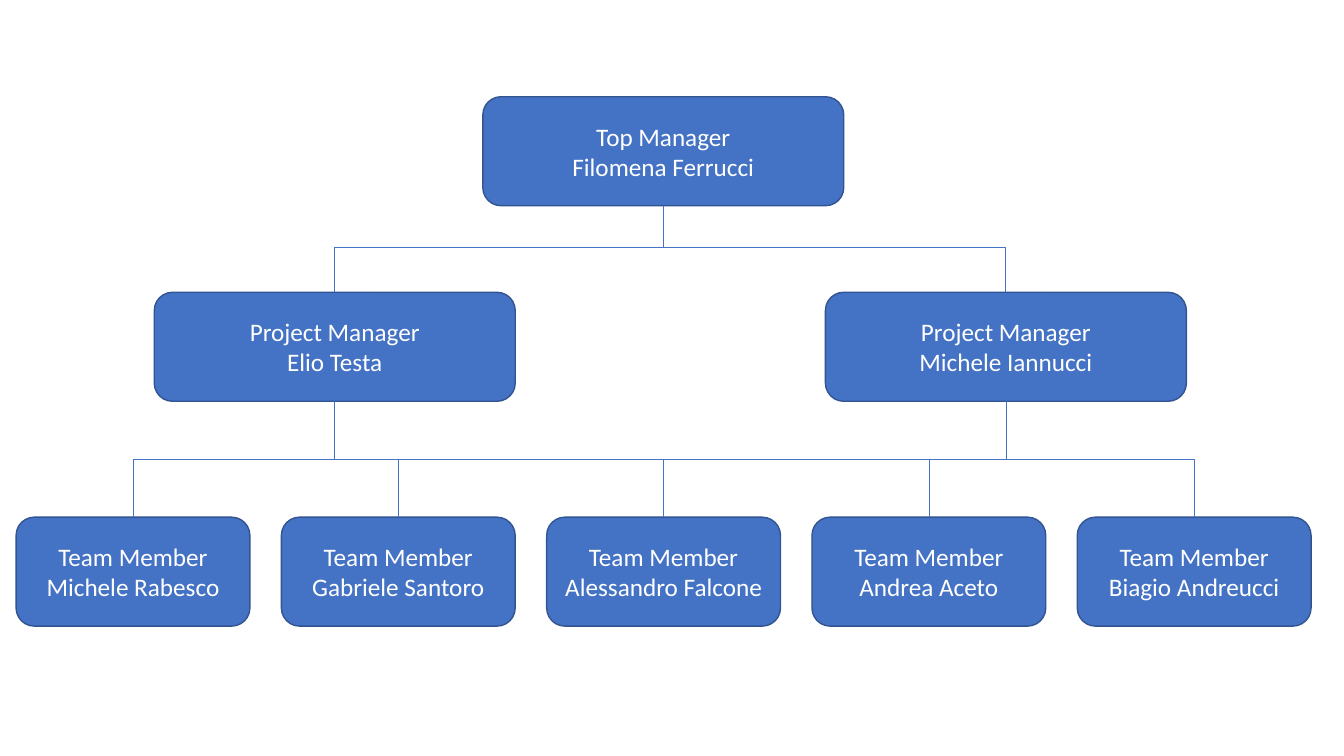
import dataclasses

import pptx
import pptx.dml.color
import pptx.enum.shapes
import pptx.enum.text
import pptx.oxml
import pptx.oxml.ns
import pptx.presentation
import pptx.shapes.autoshape
import pptx.slide
import pptx.util

Pt = pptx.util.Pt
BOX_HEIGHT = 77.8
TOP_SITE, BOTTOM_SITE = 0, 2


@dataclasses.dataclass(frozen=True)
class Level:
    """One row of equally spaced boxes."""
    role: str
    names: tuple[str, ...]
    left: float
    top: float
    width: float
    step: float = 0


@dataclasses.dataclass(frozen=True)
class Branch:
    """Reporting lines from one box to boxes in the level below."""
    level: int
    manager: int
    reports: tuple[int, ...]
    bend: float = 0.5


LEVELS = (
    Level("Top Manager", ("Filomena Ferrucci",), 344.9, 69.1, 257.8),
    Level("Project Manager", ("Elio Testa", "Michele Iannucci"),
          110.2, 208.8, 257.8, 479.4),
    Level("Team Member",
          ("Michele Rabesco", "Gabriele Santoro", "Alessandro Falcone",
           "Andrea Aceto", "Biagio Andreucci"),
          11.5, 369.4, 167, 189.5),
)
BRANCHES = (
    Branch(0, 0, (0, 1), 0.48),
    Branch(1, 0, (0, 1, 2)),
    Branch(1, 1, (4, 3, 2)),
)


def color(value: str) -> pptx.dml.color.RGBColor:
    return pptx.dml.color.RGBColor.from_string(value)


def add_box(page: pptx.slide.Slide, level: Level,
            index: int) -> pptx.shapes.autoshape.Shape:
    box = page.shapes.add_shape(
        pptx.enum.shapes.MSO_SHAPE.ROUNDED_RECTANGLE,
        Pt(level.left + index * level.step), Pt(level.top),
        Pt(level.width), Pt(BOX_HEIGHT))
    box.shadow.inherit = False
    box.fill.solid()
    box.fill.fore_color.rgb = color("4472C4")
    box.line.color.rgb = color("325491")
    box.line.width = Pt(1)
    frame = box.text_frame
    frame.word_wrap = True
    frame.vertical_anchor = pptx.enum.text.MSO_ANCHOR.MIDDLE
    frame.text = f"{level.role}\n{level.names[index]}"
    for para in frame.paragraphs:
        para.alignment = pptx.enum.text.PP_ALIGN.CENTER
        para.font.name = "Calibri"
        para.font.size = Pt(18)
        para.font.color.rgb = color("FFFFFF")
    return box


def add_elbow(page: pptx.slide.Slide, manager: pptx.shapes.autoshape.Shape,
              report: pptx.shapes.autoshape.Shape, bend: float) -> None:
    """Join two boxes with a down-across-down line, bent at a share of its height."""
    elbow = page.shapes.add_connector(
        pptx.enum.shapes.MSO_CONNECTOR.ELBOW, 0, 0, 0, 0)
    elbow.begin_connect(manager, BOTTOM_SITE)
    elbow.end_connect(report, TOP_SITE)
    elbow.line.color.rgb = color("4472C4")
    elbow.line.width = Pt(0.5)

    # An elbow leaves sideways, so it is turned a quarter to leave downwards.
    rightward = elbow.end_x > elbow.begin_x
    across, down = elbow.width, elbow.height
    elbow.left += (across - down) // 2
    elbow.top += (down - across) // 2
    elbow.width, elbow.height = down, across

    properties = elbow._element.spPr
    transform = properties.find(pptx.oxml.ns.qn("a:xfrm"))
    transform.set("rot", str((270 if rightward else 90) * 60000))
    transform.set("flipH", "1" if rightward else "0")
    guides = properties.find(".//" + pptx.oxml.ns.qn("a:avLst"))
    guides.append(pptx.oxml.parse_xml(
        f'<a:gd {pptx.oxml.ns.nsdecls("a")} name="adj1" '
        f'fmla="val {round(bend * 100000)}"/>'))
    properties.append(pptx.oxml.parse_xml(
        f'<a:effectLst {pptx.oxml.ns.nsdecls("a")}/>'))


def build_deck() -> pptx.presentation.Presentation:
    deck = pptx.Presentation()
    deck.slide_width, deck.slide_height = Pt(960), Pt(540)
    blank_layout = deck.slide_layouts[6]
    page = deck.slides.add_slide(blank_layout)
    boxes = [[add_box(page, level, index) for index in range(len(level.names))]
             for level in LEVELS]
    for branch in BRANCHES:
        manager = boxes[branch.level][branch.manager]
        for report in branch.reports:
            add_elbow(page, manager, boxes[branch.level + 1][report], branch.bend)
    return deck


if __name__ == "__main__":
    build_deck().save("out.pptx")
